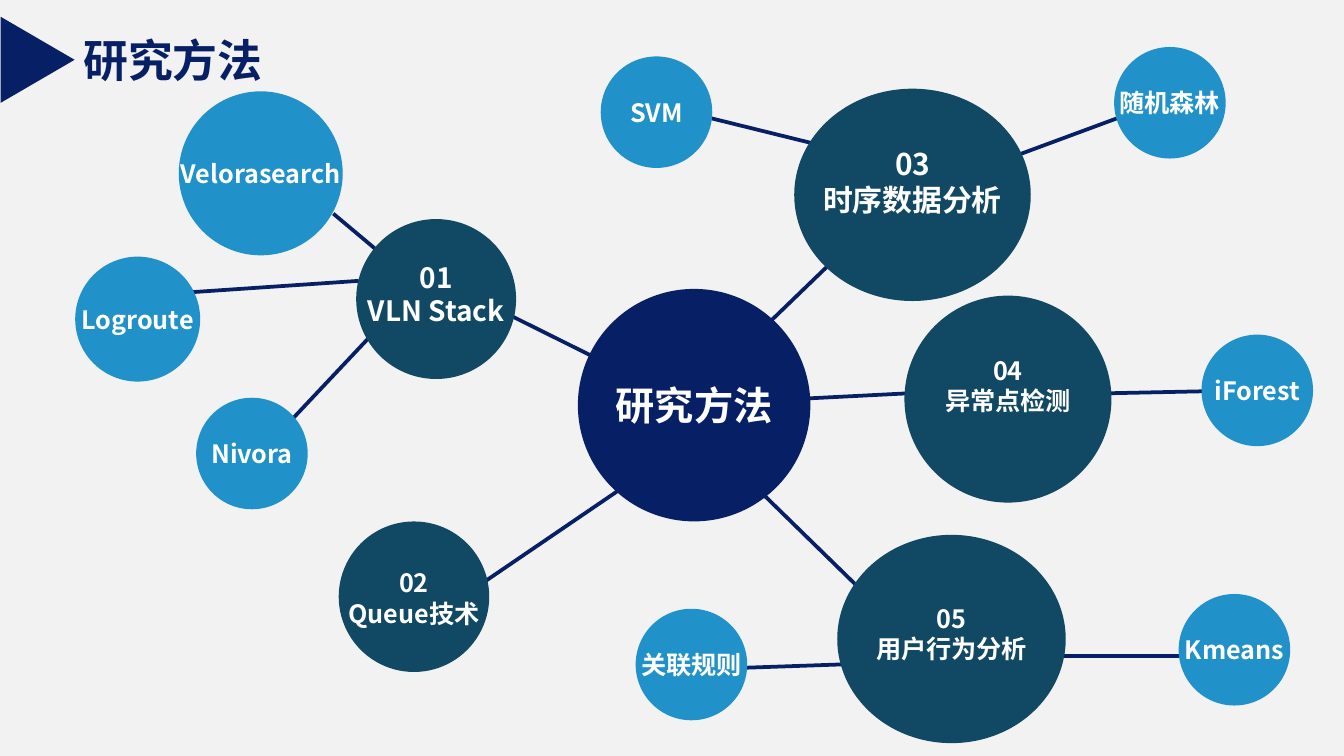
import pptx
import pptx.dml.color
import pptx.enum.shapes
import pptx.enum.text
import pptx.oxml.ns
import pptx.util
from lxml import etree

Inches = pptx.util.Inches
SHAPE = pptx.enum.shapes.MSO_SHAPE
ALIGN = pptx.enum.text.PP_ALIGN

COLORS = {"back": "F2F2F2", "navy": "071F65", "teal": "114864",
          "blue": "2191C9", "white": "FFFFFF"}
FONT = "Noto Sans CJK SC"

LINKS = [
    (8.07, 2.93, 9.03, 2.91), (5.51, 4.97, 6.38, 4.94),
    (7.85, 4.88, 8.79, 4.88), (2.48, 1.59, 2.85, 1.9),
    (1.34, 2.18, 2.67, 2.09), (2.07, 3.23, 2.88, 2.37),
    (3.5, 4.4, 4.88, 3.46), (5.24, 3.25, 6.53, 4.51),
    (5.12, 3.01, 7.48, 2.89), (7.42, 1.21, 8.34, 0.87),
    (5.21, 0.86, 6.06, 1.07), (3.34, 2.12, 5.13, 3.01),
    (5.07, 3.03, 6.49, 1.66),
]

# lines, ellipse (left, top, width, height), text size, label width and height, label rise
TOPICS = [
    (["03", "时序数据分析"], (5.91, 0.66, 1.76, 1.58), 16, (1.89, 0.64), 0.1),
    (["01", "VLN Stack"], (2.65, 1.63, 1.19, 1.19), 15, (1.78, 0.61), 0.04),
    (["04", "异常点检测"], (6.73, 2.2, 1.54, 1.54), 13.5, (2.3, 0.56), 0.1),
    (["02", "Queue技术"], (2.52, 3.88, 1.12, 1.12), 13.5, (1.68, 0.57), -0.01),
    (["05", "用户行为分析"], (6.23, 3.98, 1.7, 1.55), 13.5, (2.24, 0.56), 0.04),
]

# name, left, top, diameter
METHODS = [
    ("Nivora", 1.46, 2.96, 0.83), ("Logroute", 0.56, 1.91, 0.93),
    ("Velorasearch", 1.33, 0.68, 1.22), ("SVM", 4.47, 0.42, 0.83),
    ("随机森林", 8.29, 0.35, 0.83), ("关联规则", 4.73, 4.53, 0.83),
    ("Kmeans", 8.77, 4.42, 0.83), ("iForest", 8.94, 2.49, 0.83),
]


def rgb(name):
    """Return the named colour."""
    return pptx.dml.color.RGBColor.from_string(COLORS[name])


def write(frame, lines, size, color="white", font=FONT, align=ALIGN.CENTER, inset=(0, 0), wrap=True):
    """Fill a text frame with bold lines, one paragraph each."""
    frame.word_wrap = wrap
    frame.auto_size = pptx.enum.text.MSO_AUTO_SIZE.NONE
    frame.vertical_anchor = pptx.enum.text.MSO_ANCHOR.MIDDLE
    frame.margin_left = frame.margin_right = Inches(inset[0])
    frame.margin_top = frame.margin_bottom = Inches(inset[1])
    for index, line in enumerate(lines):
        para = frame.add_paragraph() if index else frame.paragraphs[0]
        para.alignment = align
        span = para.add_run()
        span.text = line
        span.font.name = font
        span.font.size = pptx.util.Pt(size)
        span.font.bold = True
        span.font.color.rgb = rgb(color)
        east = etree.SubElement(span.font._element, pptx.oxml.ns.qn("a:ea"))
        east.set("typeface", FONT)


class MindMap:
    """Holds the page and draws the parts of a mind map on it."""

    def __init__(self, page):
        """Set the page background."""
        self.page = page
        page.background.fill.solid()
        page.background.fill.fore_color.rgb = rgb("back")

    def title(self, text):
        """Place the title."""
        box = self.page.shapes.title
        box.left, box.top, box.width, box.height = map(Inches, (0.52, 0.19, 1.55, 0.5))
        write(box.text_frame, [text], 24, "navy", font="Arial",
              align=ALIGN.LEFT, inset=(0.1, 0.05), wrap=False)

    def shape(self, kind, at, color, parent=None):
        """Draw a plain filled shape."""
        shapes = (parent or self.page).shapes
        shape = shapes.add_shape(kind, *map(Inches, at))
        shape.shadow.inherit = False
        shape.fill.solid()
        shape.fill.fore_color.rgb = rgb(color)
        shape.line.fill.background()
        return shape

    def link(self, x1, y1, x2, y2):
        """Draw a line between two nodes."""
        line = self.page.shapes.add_connector(
            pptx.enum.shapes.MSO_CONNECTOR.STRAIGHT, *map(Inches, (x1, y1, x2, y2)))
        line.line.color.rgb = rgb("navy")
        line.line.width = pptx.util.Pt(2)
        etree.SubElement(line._element.spPr, pptx.oxml.ns.qn("a:effectLst"))

    def node(self, lines, at, color, size=13.5, label=(1.68, 0.33), rise=0):
        """Draw an ellipse grouped with its centred label."""
        group = self.page.shapes.add_group_shape()
        self.shape(SHAPE.OVAL, at, color, group)
        left, top, width, height = at
        label_at = (left + (width - label[0]) / 2,
                    top + (height - label[1]) / 2 - rise, *label)
        box = group.shapes.add_textbox(*map(Inches, label_at))
        write(box.text_frame, lines, size)


def main():
    """Build the deck."""
    deck = pptx.Presentation()
    deck.slide_width = Inches(10)
    deck.slide_height = deck.slide_width * 9 // 16
    mind_map = MindMap(deck.slides.add_slide(deck.slide_layouts[5]))
    mind_map.title("研究方法")
    for ends in LINKS:
        mind_map.link(*ends)
    mind_map.node(["研究方法"], (4.3, 2.15, 1.73, 1.73), "navy", 21, (1.73, 0.45))
    for lines, at, size, label, rise in TOPICS:
        mind_map.node(lines, at, "teal", size, label, rise)
    marker = mind_map.shape(SHAPE.ISOSCELES_TRIANGLE, (-0.04, 0.17, 0.64, 0.55), "navy")
    marker.rotation = 90
    for name, left, top, diameter in METHODS:
        mind_map.node([name], (left, top, diameter, diameter), "blue")
    deck.save("out.pptx")


main()
